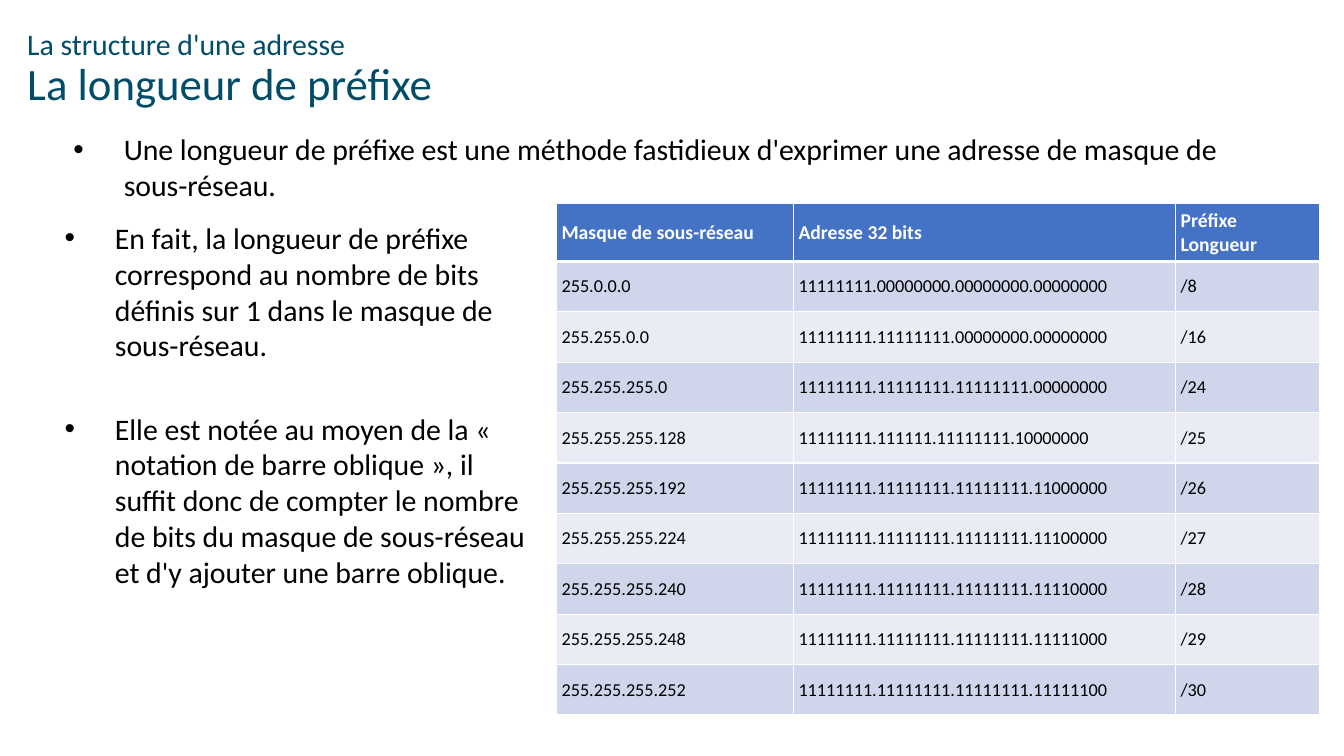
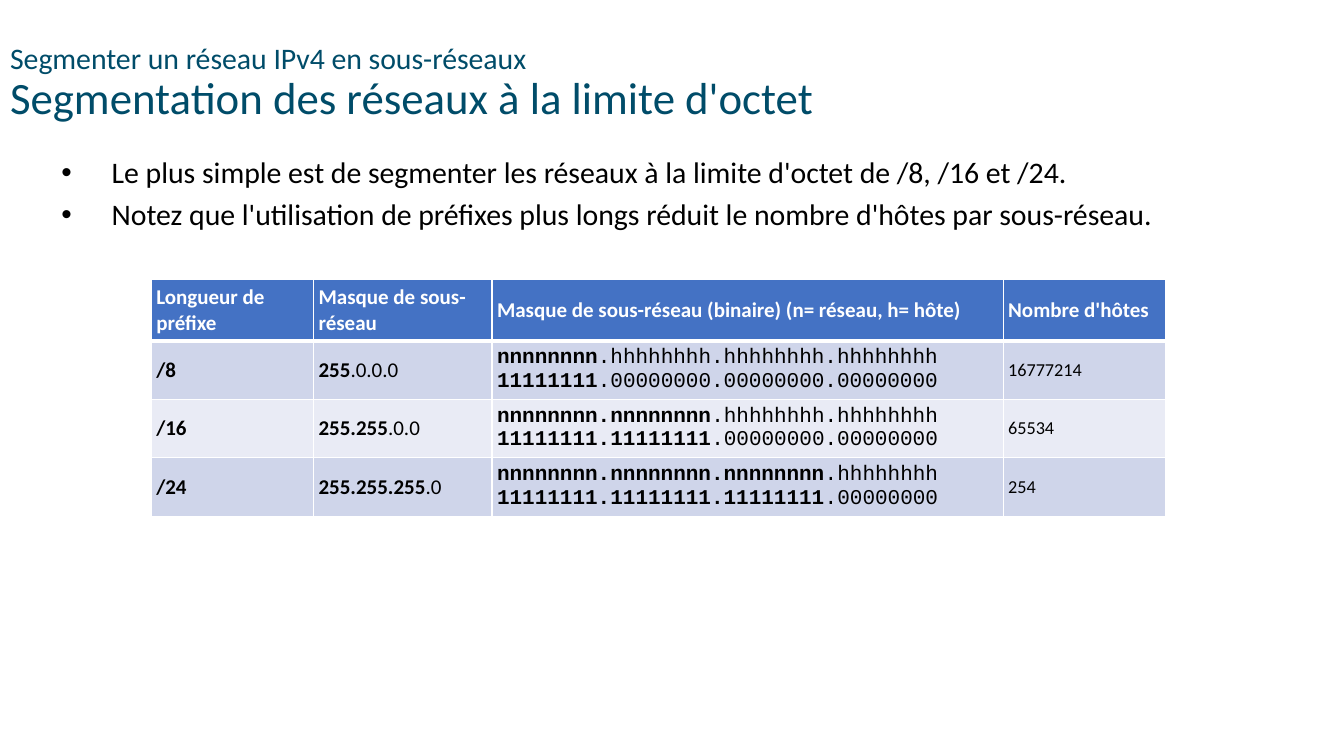
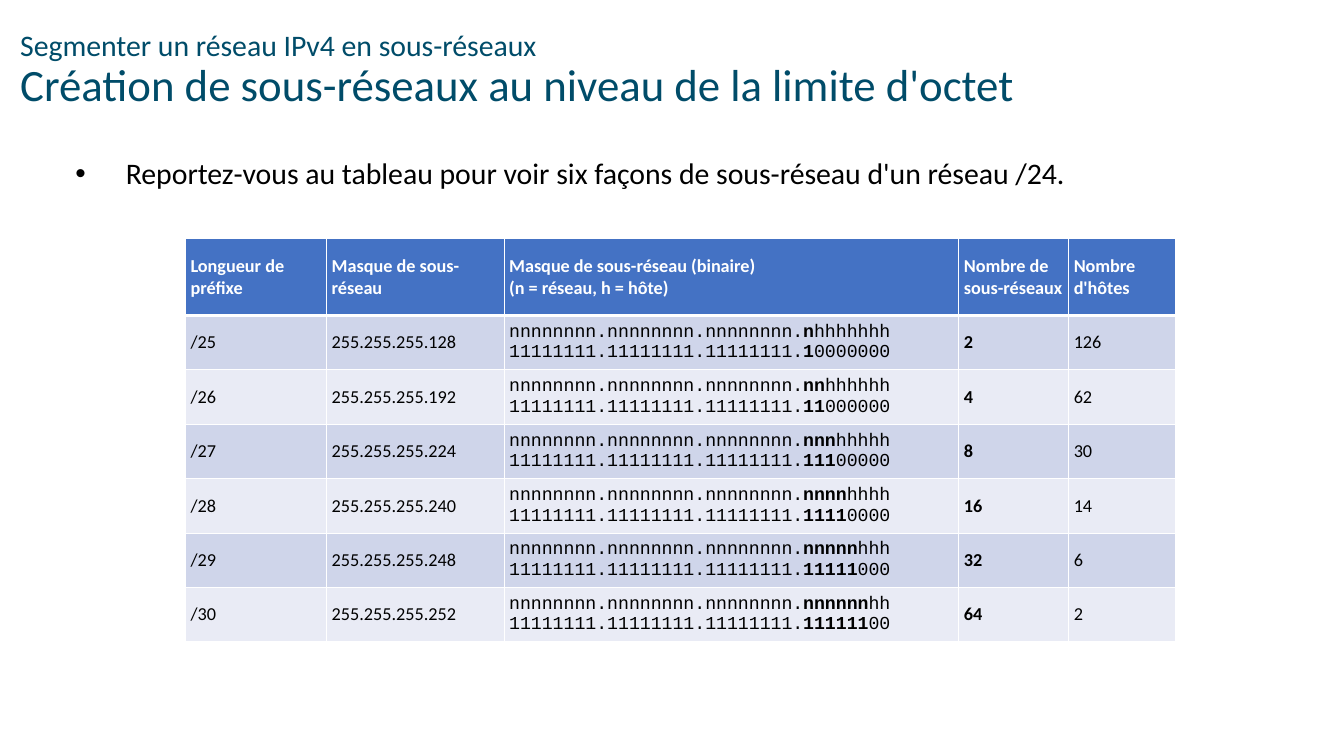
from copy import deepcopy
from dataclasses import dataclass

from lxml import etree
from pptx import Presentation
from pptx.dml.color import RGBColor
from pptx.enum.text import MSO_ANCHOR, MSO_AUTO_SIZE, PP_ALIGN
from pptx.oxml.ns import qn
from pptx.util import Emu, Pt

MIDDLE = MSO_ANCHOR.MIDDLE
TOP = MSO_ANCHOR.TOP
LEFT = PP_ALIGN.LEFT
NO_FIT = MSO_AUTO_SIZE.NONE
TITLE_ONLY = 5
EMU_PER_PX = 9144
ADDRESS_BITS = 32


@dataclass(frozen=True)
class Theme:
    title: str = "004C69"
    text: str = "000000"
    header: str = "4472C4"
    bands: tuple[str, str] = ("CFD5EA", "E9EBF5")
    white: str = "FFFFFF"
    font: str = "Calibri"
    mono: str = "Courier New"
    body_size: float = 21.3
    title_size: float = 32
    cell_size: float = 13
    header_size: float = 14
    large_size: float = 15
    bullet_gap: float = 4.3
    wide_gap: float = 34
    rule: int = 1
    header_rule: int = 3


THEME = Theme()


@dataclass(frozen=True)
class Box:
    left: int
    top: int
    width: int
    height: int


@dataclass(frozen=True)
class Cell:
    text: str
    size: float = THEME.cell_size
    font: str = THEME.font


@dataclass(frozen=True)
class Grid:
    left: int
    top: int
    columns: tuple[int, ...]
    header_height: int
    row_height: int
    header_size: float
    headers: tuple[str, ...]
    rows: list[list[Cell]]


def px(length: int) -> Emu:
    return Emu(length * EMU_PER_PX)


def write(para, text: str, *, size: float, color: str = THEME.text,
          font: str = THEME.font, bold: bool = False) -> None:
    """Add text; ** switches bold and a vertical tab breaks the line."""
    for line_index, line in enumerate(text.split("\v")):
        if line_index:
            line_break = etree.SubElement(para._p, qn("a:br"))
            line_break.append(deepcopy(span._r.rPr))
        for part_index, part in enumerate(line.split("**")):
            if not part:
                continue
            span = para.add_run()
            span.text = part
            span.font.name = font
            span.font.size = Pt(size)
            span.font.bold = bold or part_index % 2 == 1
            span.font.color.rgb = RGBColor.from_string(color)


def place(shape, box: Box) -> None:
    shape.left, shape.top = px(box.left), px(box.top)
    shape.width, shape.height = px(box.width), px(box.height)


def set_margins(frame, side: int, end: int) -> None:
    frame.margin_left = frame.margin_right = px(side)
    frame.margin_top = frame.margin_bottom = px(end)


def add_page(deck, left: int, top: int, topic: str, heading: str):
    page = deck.slides.add_slide(deck.slide_layouts[TITLE_ONLY])
    title = page.shapes.title
    place(title, Box(left, top, 1217, 107))
    frame = title.text_frame
    frame.word_wrap = True
    frame.auto_size = NO_FIT
    frame.vertical_anchor = MIDDLE
    set_margins(frame, 10, 5)
    para = frame.paragraphs[0]
    para.alignment = LEFT
    para.line_spacing = 0.9
    write(para, topic + "\v", size=THEME.body_size, color=THEME.title)
    write(para, heading, size=THEME.title_size, color=THEME.title)
    return page


def add_bullets(page, box: Box, items: list[str], *, side: int = 10,
                end: int = 5, gap: float = THEME.bullet_gap) -> None:
    shape = page.shapes.add_textbox(0, 0, 0, 0)
    place(shape, box)
    frame = shape.text_frame
    frame.word_wrap = True
    frame.auto_size = NO_FIT
    frame.vertical_anchor = TOP
    set_margins(frame, side, end)
    for index, item in enumerate(items):
        para = frame.add_paragraph() if index else frame.paragraphs[0]
        properties = para._p.get_or_add_pPr()
        properties.set("marL", str(px(50)))
        properties.set("indent", str(px(-50)))
        etree.SubElement(properties, qn("a:buFont"), typeface="Arial")
        etree.SubElement(properties, qn("a:buChar"), char="•")
        if index:
            para.space_before = Pt(gap)
        write(para, item, size=THEME.body_size)


def set_borders(cell, bottom: int) -> None:
    properties = cell._tc.get_or_add_tcPr()
    widths = {"L": THEME.rule, "R": THEME.rule, "T": THEME.rule, "B": bottom}
    for side, width in widths.items():
        line = etree.SubElement(properties, qn(f"a:ln{side}"), w=str(Pt(width)))
        fill = etree.SubElement(line, qn("a:solidFill"))
        etree.SubElement(fill, qn("a:srgbClr"), val=THEME.white)


def fill_cell(cell, content: Cell, *, fill: str, color: str = THEME.text,
              bold: bool = False, bottom: int = THEME.rule) -> None:
    set_margins(cell, 5, 5)
    cell.vertical_anchor = MIDDLE
    set_borders(cell, bottom)
    cell.fill.solid()
    cell.fill.fore_color.rgb = RGBColor.from_string(fill)
    for index, text in enumerate(content.text.split("\n")):
        frame = cell.text_frame
        para = frame.add_paragraph() if index else frame.paragraphs[0]
        write(para, text, size=content.size, font=content.font, color=color, bold=bold)


def add_grid(page, grid: Grid) -> None:
    heights = [grid.header_height] + [grid.row_height] * len(grid.rows)
    table = page.shapes.add_table(
        len(heights), len(grid.columns), px(grid.left), px(grid.top),
        px(sum(grid.columns)), px(sum(heights))).table
    for column, width in zip(table.columns, grid.columns):
        column.width = px(width)
    for row, height in zip(table.rows, heights):
        row.height = px(height)
    for index, header in enumerate(grid.headers):
        fill_cell(table.cell(0, index), Cell(header, grid.header_size),
                  fill=THEME.header, color=THEME.white, bold=True,
                  bottom=THEME.header_rule)
    for row_index, row in enumerate(grid.rows):
        for index, content in enumerate(row):
            fill_cell(table.cell(row_index + 1, index), content,
                      fill=THEME.bands[row_index % 2])


def dotted_bits(prefix: int, network: str = "1", host: str = "0") -> str:
    bits = network * prefix + host * (ADDRESS_BITS - prefix)
    return ".".join(bits[start:start + 8] for start in range(0, ADDRESS_BITS, 8))


def mask(prefix: int) -> str:
    return ".".join(str(int(octet, 2)) for octet in dotted_bits(prefix).split("."))


def host_count(prefix: int) -> str:
    return str(2 ** (ADDRESS_BITS - prefix) - 2)


def mark_bold(text: str, start: int, end: int) -> str:
    return f"{text[:start]}**{text[start:end]}**{text[end:]}"


def binary_mask(prefix: int, bold_from: int) -> str:
    """Letters above bits, with the bits from bold_from to prefix in bold."""
    start, end = bold_from + bold_from // 8, prefix + (prefix - 1) // 8
    lines = (dotted_bits(prefix, "n", "h"), dotted_bits(prefix))
    return "\v".join(mark_bold(line, start, end) for line in lines)


def prefix_row(prefix: int) -> list[Cell]:
    shown_bits = {25: "11111111.111111.11111111.10000000"}
    bits = shown_bits.get(prefix, dotted_bits(prefix))
    return [Cell(mask(prefix)), Cell(bits), Cell(f"/{prefix}")]


def octet_row(prefix: int) -> list[Cell]:
    size = THEME.large_size
    bold_length = 4 * (prefix // 8) - 1
    return [Cell(f"**/{prefix}**", size),
            Cell(mark_bold(mask(prefix), 0, bold_length), size),
            Cell(binary_mask(prefix, 0), size, THEME.mono),
            Cell(host_count(prefix))]


def subnet_row(prefix: int) -> list[Cell]:
    return [Cell(f"/{prefix}"), Cell(mask(prefix)),
            Cell(binary_mask(prefix, 24), font=THEME.mono),
            Cell(f"**{2 ** (prefix - 24)}**"), Cell(host_count(prefix))]


def add_prefix_page(deck) -> None:
    page = add_page(deck, 17, 16, "La structure d'une adresse", "La longueur de préfixe")
    add_bullets(page, Box(63, 125, 1207, 74), [
        "Une longueur de préfixe est une méthode fastidieux d'exprimer "
        "une adresse de masque de sous-réseau."])
    add_bullets(page, Box(51, 211, 492, 448), [
        "En fait, la longueur de préfixe correspond au nombre de bits "
        "définis sur 1 dans le masque de sous-réseau.",
        "Elle est notée au moyen de la « notation de barre oblique », il suffit "
        "donc de compter le nombre de bits du masque de sous-réseau et d'y "
        "ajouter une barre oblique."], side=13, end=7, gap=THEME.wide_gap)
    add_grid(page, Grid(
        552, 202, (235, 379, 143), 56, 50, THEME.header_size,
        ("Masque de sous-réseau", "Adresse 32 bits", "Préfixe\nLongueur"),
        [prefix_row(prefix) for prefix in (8, 16, *range(24, 31))]))


def add_octet_page(deck) -> None:
    page = add_page(deck, 0, 30, "Segmenter un réseau IPv4 en sous-réseaux",
                    "Segmentation des réseaux à la limite d'octet")
    add_bullets(page, Box(51, 148, 1207, 163), [
        "Le plus simple est de segmenter les réseaux à la limite d'octet "
        "de /8, /16 et /24.",
        "Notez que l'utilisation de préfixes plus longs réduit le nombre "
        "d'hôtes par sous-réseau."])
    add_grid(page, Grid(
        150, 277, (161, 177, 507, 161), 58, 58, THEME.large_size,
        ("Longueur de préfixe", "Masque de sous-réseau",
         "Masque de sous-réseau (binaire) (n= réseau, h= hôte)", "Nombre d'hôtes"),
        [octet_row(prefix) for prefix in (8, 16, 24)]))


def add_subnet_page(deck) -> None:
    page = add_page(deck, 10, 17, "Segmenter un réseau IPv4 en sous-réseaux",
                    "Création de sous-réseaux au niveau de la limite d'octet")
    add_bullets(page, Box(65, 149, 1207, 68), [
        "Reportez-vous au tableau pour voir six façons de sous-réseau "
        "d'un réseau /24."])
    add_grid(page, Grid(
        184, 237, (140, 176, 451, 109, 106), 76, 54, THEME.cell_size,
        ("Longueur de préfixe", "Masque de sous-réseau",
         "Masque de sous-réseau (binaire)\v(n = réseau, h = hôte)",
         "Nombre de sous-réseaux", "Nombre d'hôtes"),
        [subnet_row(prefix) for prefix in range(25, 31)]))


def main() -> None:
    deck = Presentation()
    deck.slide_width, deck.slide_height = px(1333), px(750)
    add_prefix_page(deck)
    add_octet_page(deck)
    add_subnet_page(deck)
    deck.save("out.pptx")


if __name__ == "__main__":
    main()
